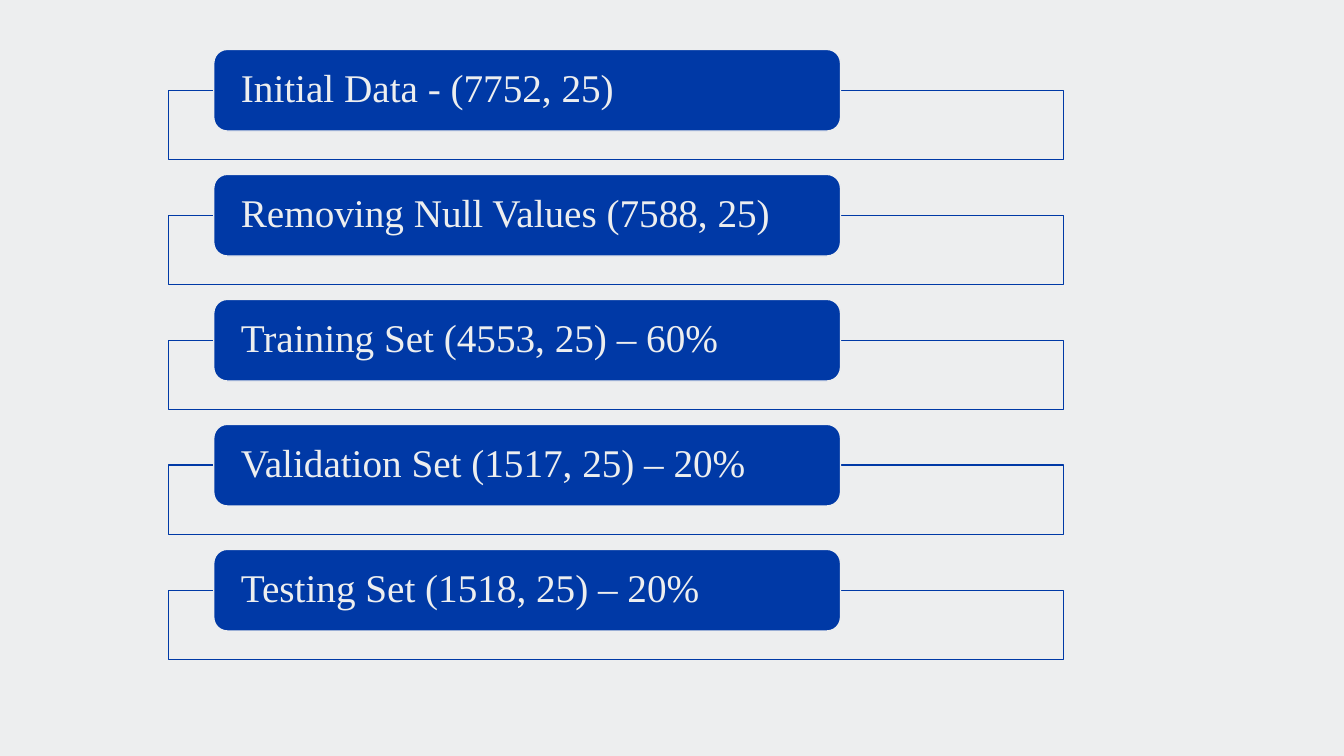
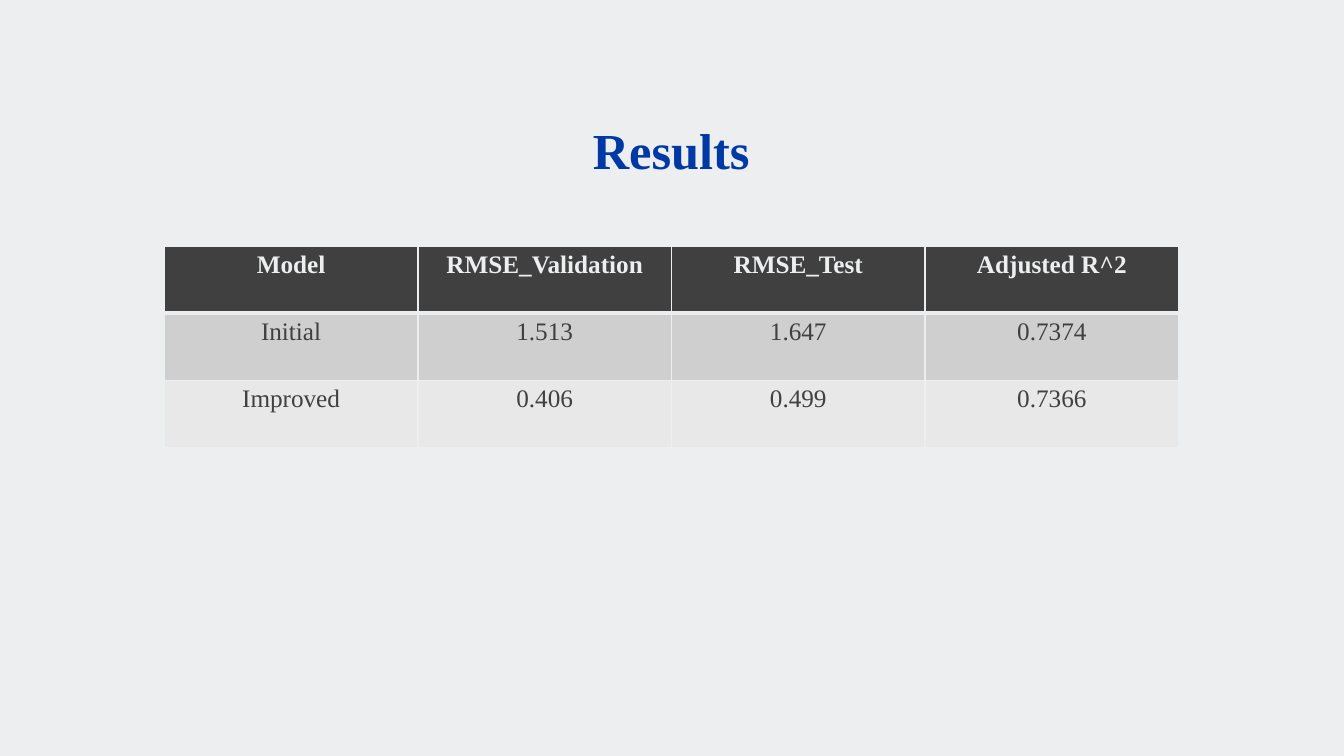
from lxml import etree
from pptx import Presentation
from pptx.dml.color import RGBColor
from pptx.enum.shapes import MSO_SHAPE
from pptx.enum.text import MSO_ANCHOR, PP_ALIGN
from pptx.oxml.ns import qn
from pptx.util import Inches, Pt

RECTANGLE, ROUNDED = MSO_SHAPE.RECTANGLE, MSO_SHAPE.ROUNDED_RECTANGLE
TOP, MIDDLE, BOTTOM = MSO_ANCHOR.TOP, MSO_ANCHOR.MIDDLE, MSO_ANCHOR.BOTTOM
LEFT, CENTER = PP_ALIGN.LEFT, PP_ALIGN.CENTER

FONT = "Times New Roman"
COLORS = {
    "paper": "EDEEEF",
    "blue": "0039A6",
    "ink": "404041",
    "band_dark": "CFCFCF",
    "band_light": "E8E8E9",
}
STEPS = [
    "Initial Data - (7752, 25)",
    "Removing Null Values (7588, 25)",
    "Training Set (4553, 25) – 60%",
    "Validation Set (1517, 25) – 20%",
    "Testing Set (1518, 25) – 20%",
]
RESULTS = [
    ["Model", "RMSE_Validation", "RMSE_Test", "Adjusted R^2"],
    ["Initial", "1.513", "1.647", "0.7374"],
    ["Improved", "0.406", "0.499", "0.7366"],
]


def rgb(name):
    """Return the named palette colour."""
    return RGBColor.from_string(COLORS[name])


def write(frame, text, size=18, color="ink", bold=False, align=LEFT,
          anchor=TOP, spacing=1.0):
    """Put one formatted paragraph into a text frame."""
    frame.word_wrap = True
    frame.vertical_anchor = anchor
    paragraph = frame.paragraphs[0]
    paragraph.alignment = align
    paragraph.line_spacing = spacing
    run = paragraph.add_run()
    run.text = text
    run.font.name = FONT
    run.font.size = Pt(size)
    run.font.bold = bold
    run.font.color.rgb = rgb(color)


def set_margins(frame, side):
    """Give a text frame equal side margins and none above or below."""
    frame.margin_left = frame.margin_right = Inches(side)
    frame.margin_top = frame.margin_bottom = 0


def add_slide(deck):
    """Add a blank slide with the shared background."""
    slide = deck.slides.add_slide(deck.slide_layouts[6])
    slide.background.fill.solid()
    slide.background.fill.fore_color.rgb = rgb("paper")
    return slide


def add_panel(slide, kind, left, top, width, height, fill, line):
    """Add a filled and outlined shape without a shadow."""
    panel = slide.shapes.add_shape(
        kind, Inches(left), Inches(top), Inches(width), Inches(height))
    panel.shadow.inherit = False
    panel.fill.solid()
    panel.fill.fore_color.rgb = rgb(fill)
    panel.line.color.rgb = rgb(line)
    panel.line.width = Pt(1)
    return panel


def add_title(slide, text, left, top, width, height):
    """Add a bold blue slide title."""
    title = slide.shapes.add_textbox(
        Inches(left), Inches(top), Inches(width), Inches(height))
    set_margins(title.text_frame, 0)
    write(title.text_frame, text, size=36, color="blue", bold=True,
          anchor=BOTTOM, spacing=0.9)


def add_step_list(slide, steps, left, top, width, pitch=1.24):
    """Stack labelled bars, each over its own outlined frame."""
    bar_height, indent = 0.81, 0.45
    for index, step in enumerate(steps):
        bar_top = top + index * pitch
        add_panel(slide, RECTANGLE, left, bar_top + bar_height / 2,
                  width, 0.69, "paper", "blue")
        bar = add_panel(slide, ROUNDED, left + indent, bar_top,
                        width * 0.7, bar_height, "blue", "paper")
        set_margins(bar.text_frame, 0.23)
        write(bar.text_frame, step, size=28, color="paper",
              anchor=MIDDLE, spacing=0.9)


def set_borders(cell, top, bottom):
    """Draw the cell borders, with top and bottom widths in points."""
    properties = cell._tc.get_or_add_tcPr()
    widths = {"lnL": 1, "lnR": 1, "lnT": top, "lnB": bottom}
    for position, (side, width) in enumerate(widths.items()):
        border = etree.Element(qn("a:" + side), w=str(Pt(width)))
        fill = etree.SubElement(border, qn("a:solidFill"))
        etree.SubElement(fill, qn("a:srgbClr"), val=COLORS["paper"])
        properties.insert(position, border)


def add_results_table(slide, rows, left, top, width, height):
    """Add a table with a dark header and alternating bands."""
    table = slide.shapes.add_table(
        len(rows), len(rows[0]), Inches(left), Inches(top),
        Inches(width), Inches(height)).table
    for r, values in enumerate(rows):
        header = r == 0
        band = "ink" if header else "band_dark" if r % 2 else "band_light"
        for c, value in enumerate(values):
            cell = table.cell(r, c)
            cell.fill.solid()
            cell.fill.fore_color.rgb = rgb(band)
            set_borders(cell, top=3 if r == 1 else 1, bottom=3 if header else 1)
            write(cell.text_frame, value, color="paper" if header else "ink",
                  bold=header, align=CENTER)


def main():
    """Build and save the deck."""
    deck = Presentation()
    deck.slide_width, deck.slide_height = Inches(13.33), Inches(7.5)
    add_step_list(add_slide(deck), STEPS, left=1.67, top=0.49, width=8.88)
    results = add_slide(deck)
    add_title(results, "Results", 5.88, 1.24, 1.57, 0.55)
    add_results_table(results, RESULTS, 1.63, 2.44, 10.06, 2)
    deck.save("out.pptx")


if __name__ == "__main__":
    main()
